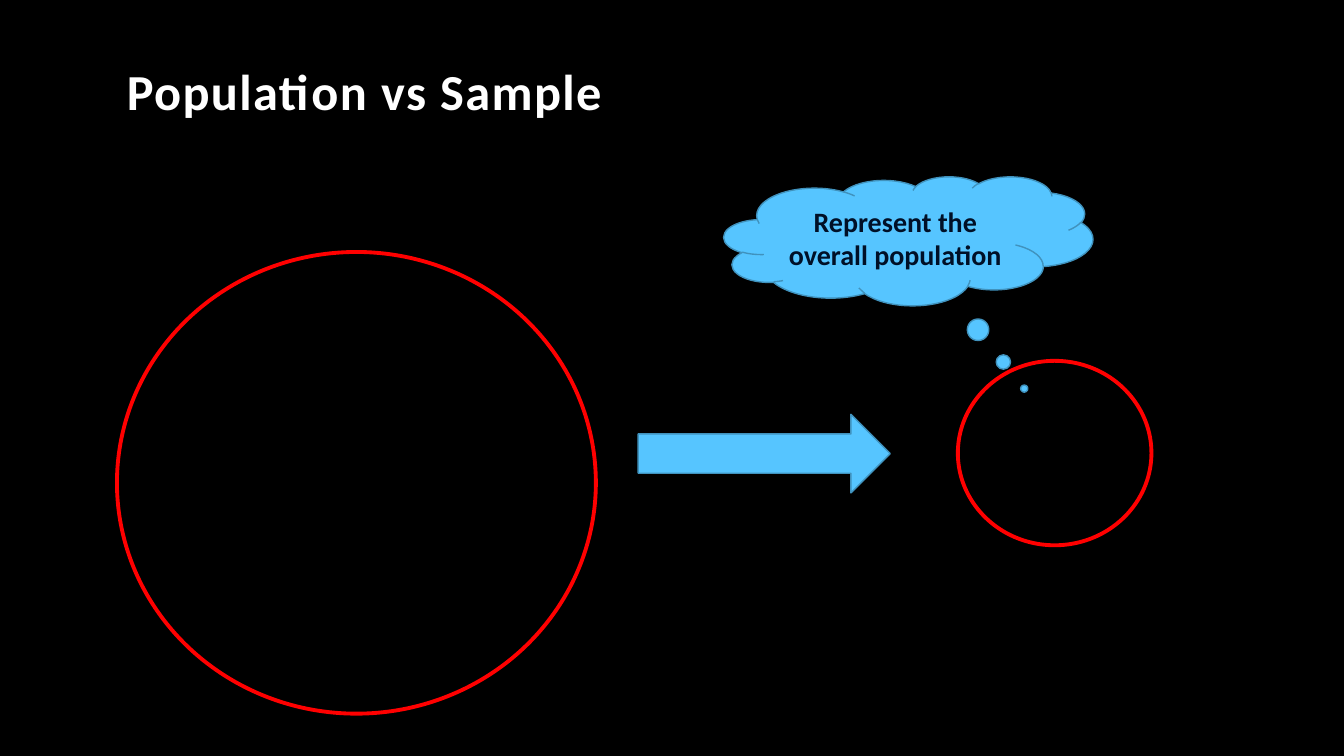
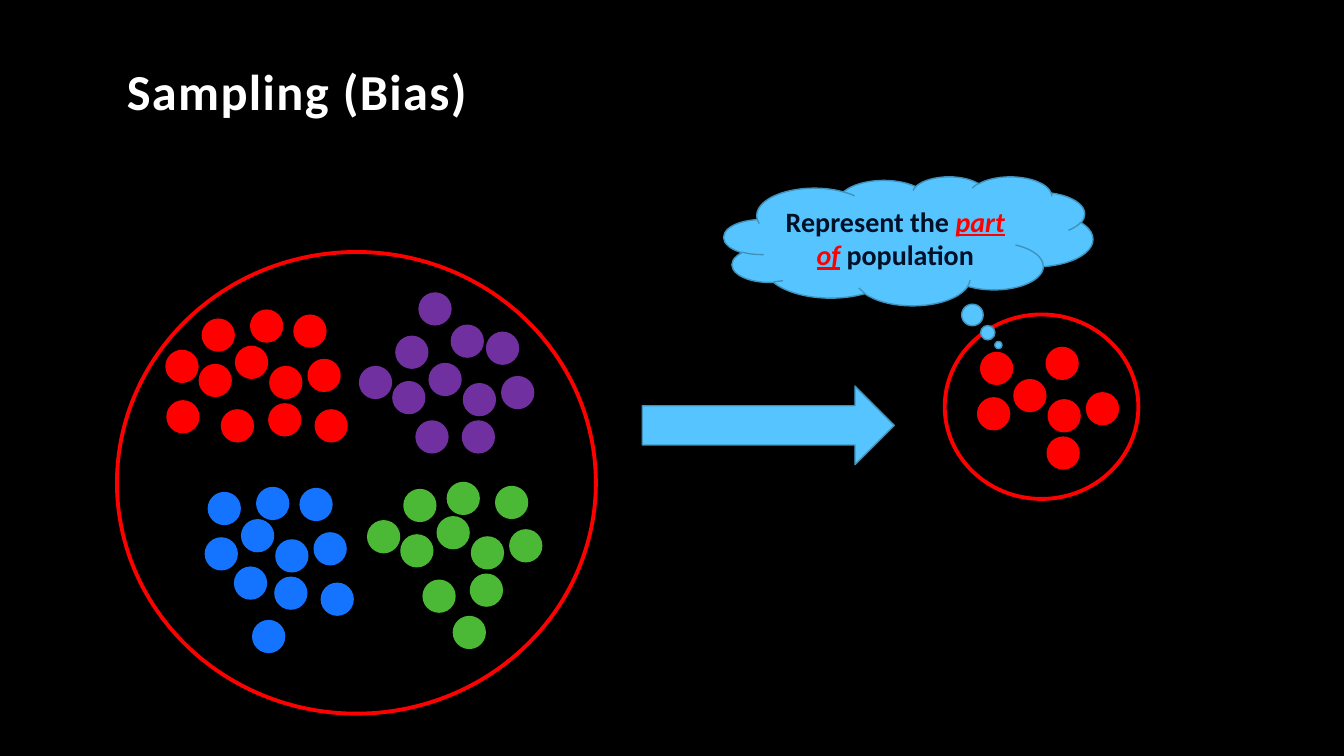
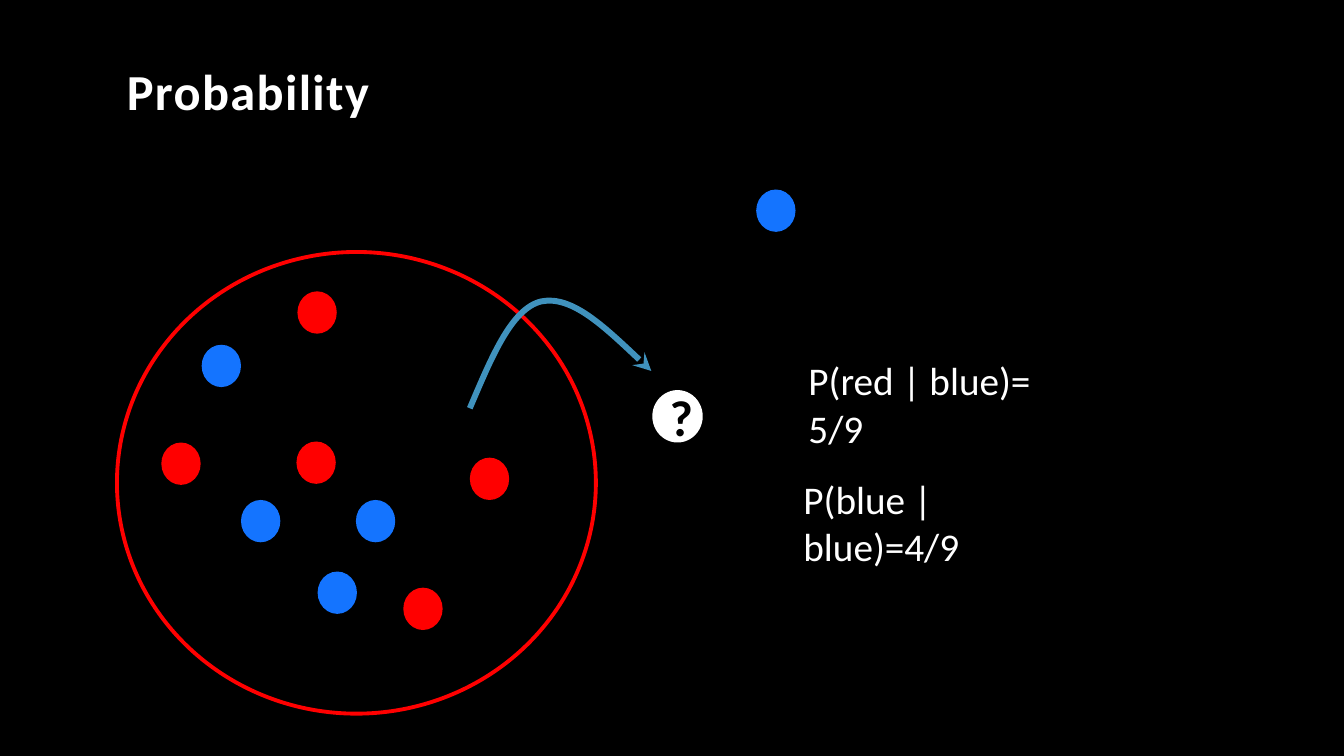
from dataclasses import dataclass
from typing import NamedTuple

from lxml.etree import SubElement
from pptx import Presentation
from pptx.dml.color import RGBColor
from pptx.enum.shapes import MSO_SHAPE
from pptx.enum.text import MSO_ANCHOR, PP_ALIGN
from pptx.oxml.ns import qn
from pptx.shapes.autoshape import Shape
from pptx.slide import Slide
from pptx.util import Inches, Pt

COLORS = {
    "background": "000000",
    "white": "FFFFFF",
    "red": "FF0000",
    "purple": "7030A0",
    "blue": "1474FF",
    "green": "4BB836",
    "sky": "56C5FF",
    "sky_line": "4092BD",
    "navy": "001027",
}
FONT = "Calibri"
TITLE_FORMAT = {"size": Pt(36), "bold": True}
CLOUD_FORMAT = {"size": Pt(20), "bold": True}
EMPHASIS_FORMAT = CLOUD_FORMAT | {"italic": True, "underline": True}
FORMULA_FORMAT = {"size": Pt(28)}


class Box(NamedTuple):
    left: float
    top: float
    width: float
    height: float

    def lengths(self) -> list[Inches]:
        return [Inches(value) for value in self]


class Point(NamedTuple):
    x: float
    y: float


class TextPart(NamedTuple):
    text: str
    color: str
    format: dict


@dataclass(frozen=True)
class Cluster:
    """Balls of one colour: the common pattern at an origin, plus extra offsets."""
    color: str
    origin: Point
    extras: tuple[tuple[float, float], ...]


TITLE_BOX = Box(1.16, 0.42, 10, 0.83)
POPULATION_BOX = Box(1.16, 2.5, 4.75, 4.58)
CLOUD_BOX = Box(7.18, 1.75, 3.66, 1.28)
SAMPLE_SIZE = (1.92, 1.83)
ARROW_SIZE = (2.5, 0.78)
SMALL_BALL = (0.33, 0.33)
LARGE_BALL = (0.39, 0.42)

CLUSTER_PATTERN = ((0, 0), (0.67, 0.47), (0.66, 0.84), (1.05, 0.4), (-0.03, 0.45), (0.33, 0.27))
CLUSTERS = (
    Cluster("red", Point(2, 3.16),
            ((0.91, -0.04), (0.19, 0.9), (0.48, -0.09), (1.12, 0.9), (-0.35, 0.81), (-0.36, 0.31))),
    Cluster("purple", Point(3.92, 3.33),
            ((0.9, -0.04), (0.55, -0.11), (0.23, -0.43), (0.2, 0.84), (-0.36, 0.3))),
    Cluster("blue", Point(2.06, 4.88),
            ((0.91, -0.04), (0.48, -0.05), (1.12, 0.9), (0.26, 0.74), (0.44, 1.27))),
    Cluster("green", Point(4, 4.85),
            ((0.91, -0.03), (0.19, 0.9), (0.43, -0.07), (0.49, 1.26), (-0.36, 0.31))),
    Cluster("red", Point(9.72, 3.49), ((0.65, -0.05),)),
)
URN_BALLS = {
    "blue": (Point(2, 3.42), Point(7.5, 1.88), Point(3.53, 4.96), Point(3.15, 5.67), Point(2.39, 4.96)),
    "red": (Point(4, 5.83), Point(1.6, 4.39), Point(4.66, 4.54), Point(2.94, 4.38), Point(2.95, 2.89)),
}
DRAW_CURVE = (
    Point(4.66, 4.05),
    Point(4.87, 3.56), Point(5.07, 3.06), Point(5.37, 2.99),
    Point(5.67, 2.93), Point(6.06, 3.3), Point(6.46, 3.68),
)
FORMULAS = {
    "P(red | blue)= 5/9": Box(7.92, 3.49, 2.92, 0.57),
    "P(blue | blue)=4/9": Box(7.87, 4.67, 3.02, 0.57),
}


def rgb(name: str) -> RGBColor:
    return RGBColor.from_string(COLORS[name])


def write_text(shape: Shape, *parts: TextPart):
    """Fill the first paragraph with formatted runs and return it."""
    shape.text_frame.word_wrap = True
    paragraph = shape.text_frame.paragraphs[0]
    for part in parts:
        run = paragraph.add_run()
        run.text = part.text
        run.font.name = FONT
        run.font.color.rgb = rgb(part.color)
        for attribute, value in part.format.items():
            setattr(run.font, attribute, value)
    return paragraph


def style_shape(shape: Shape, fill: str | None, line: str | None, line_width: float) -> None:
    shape.shadow.inherit = False
    if fill:
        shape.fill.solid()
        shape.fill.fore_color.rgb = rgb(fill)
    else:
        shape.fill.background()
    if line:
        shape.line.color.rgb = rgb(line)
        shape.line.width = Pt(line_width)
    else:
        shape.line.fill.background()


def add_shape(slide: Slide, kind: MSO_SHAPE, box: Box, fill: str | None = None,
              line: str | None = None, line_width: float = 1) -> Shape:
    shape = slide.shapes.add_shape(kind, *box.lengths())
    style_shape(shape, fill, line, line_width)
    return shape


def add_ring(slide: Slide, box: Box) -> None:
    add_shape(slide, MSO_SHAPE.OVAL, box, line="red", line_width=2.75)


def add_ball(slide: Slide, corner: Point, size: tuple[float, float], color: str) -> Shape:
    return add_shape(slide, MSO_SHAPE.OVAL, Box(*corner, *size), color)


def add_cluster(slide: Slide, cluster: Cluster) -> None:
    for right, down in CLUSTER_PATTERN + cluster.extras:
        corner = Point(cluster.origin.x + right, cluster.origin.y + down)
        add_ball(slide, corner, SMALL_BALL, cluster.color)


def add_sampling(slide: Slide, arrow: Point, pointer: tuple[float, float], *parts: TextPart) -> None:
    """Draw the arrow to the sample and the thought cloud above it."""
    add_shape(slide, MSO_SHAPE.RIGHT_ARROW, Box(*arrow, *ARROW_SIZE), "sky", "sky_line")
    cloud = add_shape(slide, MSO_SHAPE.CLOUD_CALLOUT, CLOUD_BOX, "sky", "sky_line")
    for index, value in enumerate(pointer):
        cloud.adjustments[index] = value
    write_text(cloud, *parts).alignment = PP_ALIGN.CENTER


def add_curved_arrow(slide: Slide, points: tuple[Point, ...]) -> None:
    """Draw cubic curves through a start point and groups of three points."""
    start, *others = [(Inches(point.x), Inches(point.y)) for point in points]
    builder = slide.shapes.build_freeform(*start)
    builder.add_line_segments(others, close=False)
    shape = builder.convert_to_shape()
    style_shape(shape, None, "sky_line", 4.25)
    outline = shape._element.xpath(".//a:path")[0]
    segments = outline.findall(qn("a:lnTo"))
    for first in range(0, len(segments), 3):
        curve = SubElement(outline, qn("a:cubicBezTo"))
        for segment in segments[first:first + 3]:
            curve.append(segment[0])
            outline.remove(segment)
    SubElement(shape.line._get_or_add_ln(), qn("a:tailEnd"), type="stealth")


def add_titled_slide(presentation: Presentation, title: str) -> Slide:
    """Add a slide with the title and the population ring that all slides share."""
    slide = presentation.slides.add_slide(presentation.slide_layouts[6])
    text_box = slide.shapes.add_textbox(*TITLE_BOX.lengths())
    text_box.text_frame.vertical_anchor = MSO_ANCHOR.BOTTOM
    paragraph = write_text(text_box, TextPart(title, "white", TITLE_FORMAT))
    paragraph.line_spacing = 0.9
    paragraph.runs[0].font._element.set("spc", "100")
    add_ring(slide, POPULATION_BOX)
    return slide


def build_population_slide(presentation: Presentation) -> None:
    slide = add_titled_slide(presentation, "Population vs Sample")
    add_ring(slide, Box(9.5, 3.58, *SAMPLE_SIZE))
    add_sampling(slide, Point(6.33, 4.11), (0.314, 1.145),
                 TextPart("Represent the overall population", "navy", CLOUD_FORMAT))


def build_bias_slide(presentation: Presentation) -> None:
    slide = add_titled_slide(presentation, "Sampling (Bias)")
    add_ring(slide, Box(9.37, 3.12, *SAMPLE_SIZE))
    for cluster in CLUSTERS:
        add_cluster(slide, cluster)
    add_sampling(slide, Point(6.37, 3.83), (0.244, 0.807),
                 TextPart("Represent the ", "navy", CLOUD_FORMAT),
                 TextPart("part of", "red", EMPHASIS_FORMAT),
                 TextPart(" population", "navy", CLOUD_FORMAT))


def build_probability_slide(presentation: Presentation) -> None:
    slide = add_titled_slide(presentation, "Probability")
    for color, corners in URN_BALLS.items():
        for corner in corners:
            add_ball(slide, corner, LARGE_BALL, color)
    add_curved_arrow(slide, DRAW_CURVE)
    for formula, box in FORMULAS.items():
        text_box = slide.shapes.add_textbox(*box.lengths())
        write_text(text_box, TextPart(formula, "white", FORMULA_FORMAT))
    unknown_ball = add_ball(slide, Point(6.47, 3.87), (0.5, 0.52), "white")
    paragraph = write_text(unknown_ball, TextPart("?", "background", TITLE_FORMAT))
    paragraph.alignment = PP_ALIGN.CENTER


def main() -> None:
    presentation = Presentation()
    presentation.slide_width = Inches(13.33)
    presentation.slide_height = Inches(7.5)
    background = presentation.slide_master.background.fill
    background.solid()
    background.fore_color.rgb = rgb("background")
    build_population_slide(presentation)
    build_bias_slide(presentation)
    build_probability_slide(presentation)
    presentation.save("out.pptx")


if __name__ == "__main__":
    main()
